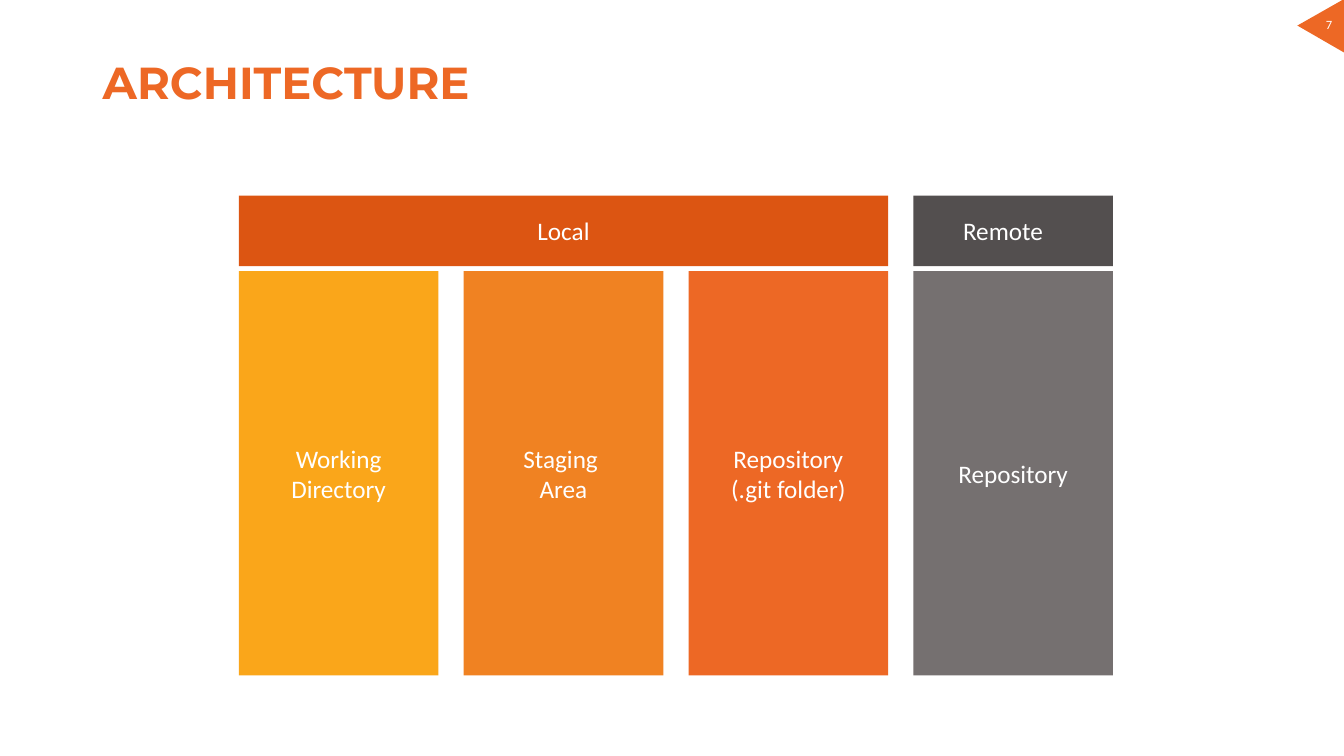
from pptx import Presentation
from pptx.dml.color import RGBColor
from pptx.enum.shapes import MSO_SHAPE as Shape
from pptx.enum.text import MSO_ANCHOR as Anchor, PP_ALIGN as Align
from pptx.util import Pt

WHITE = RGBColor(0xFF, 0xFF, 0xFF)
ORANGE = RGBColor(0xED, 0x68, 0x25)
AMBER = RGBColor(0xFA, 0xA6, 0x1A)
TANGERINE = RGBColor(0xF0, 0x82, 0x22)
RUST = RGBColor(0xDC, 0x55, 0x12)
GREY = RGBColor(0x75, 0x70, 0x70)
DARK_GREY = RGBColor(0x53, 0x4F, 0x4F)

LEFT, COLUMN_WIDTH, PITCH = 170.6, 142.6, 160.6
HEADER_TOP, HEADER_HEIGHT = 139.7, 50.4
COLUMN_TOP, COLUMN_HEIGHT = 193.7, 288.7


def add_filled(kind, left, top, width, height, color):
    shape = slide.shapes.add_shape(kind, Pt(left), Pt(top), Pt(width), Pt(height))
    shape.shadow.inherit = False
    shape.fill.solid()
    shape.fill.fore_color.rgb = color
    shape.line.fill.background()
    return shape


def write_lines(shape, lines, size, align=Align.CENTER, font="Calibri", color=WHITE):
    frame = shape.text_frame
    frame.word_wrap = True
    frame.vertical_anchor = Anchor.MIDDLE
    for index, line in enumerate(lines):
        para = frame.add_paragraph() if index else frame.paragraphs[0]
        para.alignment = align
        span = para.add_run()
        span.text = line
        span.font.name = font
        span.font.size = Pt(size)
        span.font.color.rgb = color


deck = Presentation()
deck.slide_width, deck.slide_height = Pt(960), Pt(540)
slide = deck.slides.add_slide(deck.slide_layouts[5])

# Page number in the corner
marker = add_filled(Shape.ISOSCELES_TRIANGLE, 932.4, -2.9, 38.9, 33.1, ORANGE)
marker.rotation = 30
number = slide.shapes.add_textbox(Pt(925.2), Pt(8.6), Pt(48.2), Pt(18))
write_lines(number, ["7"], 9)

# Title
title = slide.shapes.title
title.left, title.top, title.width, title.height = Pt(66.2), Pt(28.8), Pt(833.8), Pt(63.4)
write_lines(title, ["ARCHITECTURE"], 32, Align.LEFT, "Montserrat", ORANGE)
heading = title.text_frame.paragraphs[0]
heading.line_spacing = 0.9
heading.runs[0].font.bold = True

# Columns
columns = [
    (["Working Directory"], AMBER),
    (["Staging ", "Area"], TANGERINE),
    (["Repository", "(.git folder)"], ORANGE),
    (["Repository"], GREY),
]
for index, (lines, color) in enumerate(columns):
    box = add_filled(Shape.RECTANGLE, LEFT + index * PITCH, COLUMN_TOP,
                     COLUMN_WIDTH, COLUMN_HEIGHT, color)
    write_lines(box, lines, 18)

# Headers: Local spans three columns, Remote one
local = add_filled(Shape.RECTANGLE, LEFT, HEADER_TOP,
                   2 * PITCH + COLUMN_WIDTH, HEADER_HEIGHT, RUST)
write_lines(local, ["Local"], 18)
remote = add_filled(Shape.RECTANGLE, LEFT + 3 * PITCH, HEADER_TOP,
                    COLUMN_WIDTH, HEADER_HEIGHT, DARK_GREY)
remote.text_frame.margin_left = Pt(35.5)
write_lines(remote, ["Remote"], 18, Align.LEFT)

deck.save("out.pptx")
